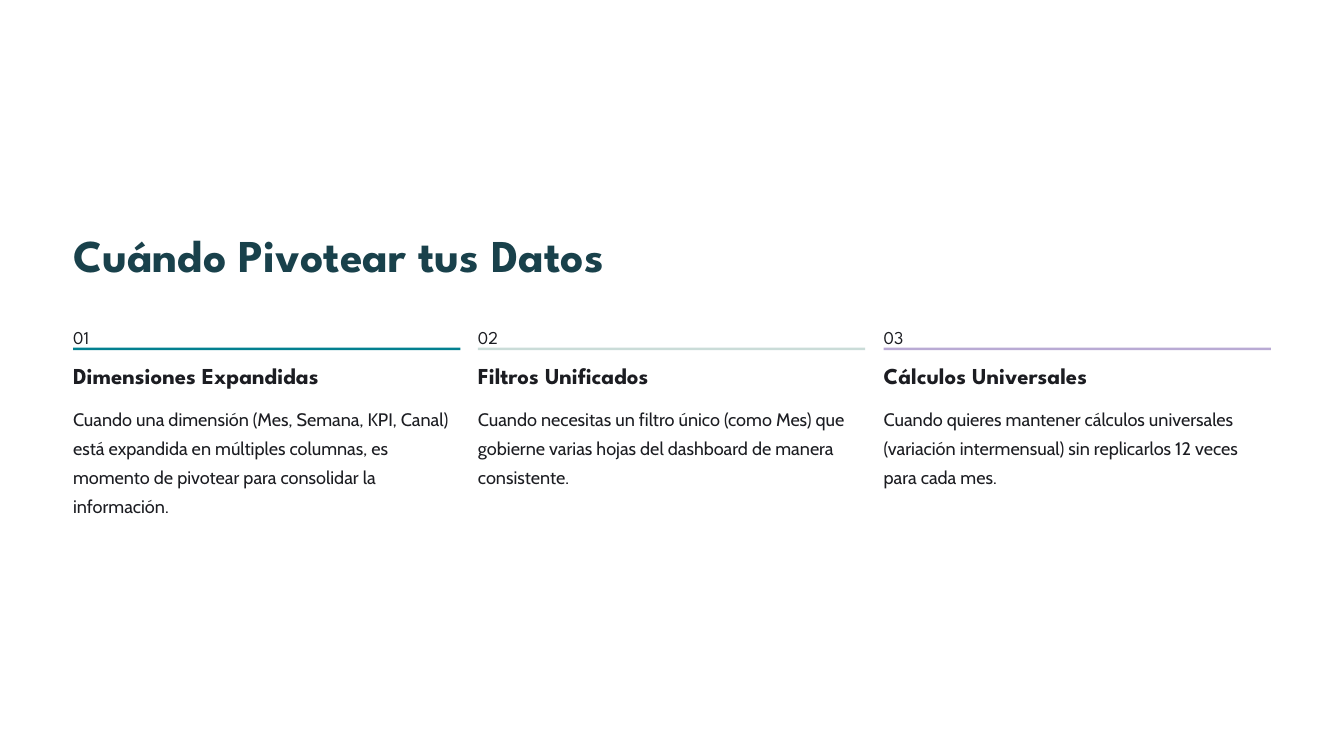
from pptx import Presentation
from pptx.dml.color import RGBColor
from pptx.enum.shapes import MSO_SHAPE
from pptx.util import Pt

PX = 9144
RECT = MSO_SHAPE.RECTANGLE
WHITE = RGBColor(0xFF, 0xFF, 0xFF)
NAVY = RGBColor(0x19, 0x41, 0x4B)
INK = RGBColor(0x1C, 0x1D, 0x22)
TEAL = RGBColor(0x02, 0x80, 0x90)
MINT = RGBColor(0xCA, 0xDC, 0xD8)
LILAC = RGBColor(0xB9, 0xAA, 0xD4)
HEAD_FONT = "League Spartan"
BODY_FONT = "Cabin"

prs = Presentation()
prs.slide_width = 1600 * PX
prs.slide_height = 900 * PX
s = prs.slides.add_slide(prs.slide_layouts[6])


def add_rect(x, y, w, h, color):
    sp = s.shapes.add_shape(RECT, x * PX, y * PX, w * PX, h * PX)
    sp.shadow.inherit = False
    sp.fill.solid()
    sp.fill.fore_color.rgb = color
    sp.line.fill.background()


def add_text(x, y, w, h, text, size, leading, font=HEAD_FONT, color=INK, bold=False, wrap=False):
    tf = s.shapes.add_textbox(x * PX, y * PX, w * PX, h * PX).text_frame
    tf.margin_left = tf.margin_top = tf.margin_right = tf.margin_bottom = 0
    tf.word_wrap = wrap
    p = tf.paragraphs[0]
    p.line_spacing = Pt(leading)
    r = p.add_run()
    r.text = text
    r.font.name = font
    r.font.size = Pt(size)
    r.font.bold = bold
    r.font.color.rgb = color


add_rect(0, 0, 1600, 900, WHITE)
add_text(87, 268, 689, 68, "Cuándo Pivotear tus Datos", 39, 48.5, color=NAVY, bold=True)

columns = [
    ("Dimensiones Expandidas", 320, TEAL, 139,
     "Cuando una dimensión (Mes, Semana, KPI, Canal) está expandida en múltiples columnas, "
     "es momento de pivotear para consolidar la información."),
    ("Filtros Unificados", 271, MINT, 104,
     "Cuando necesitas un filtro único (como Mes) que gobierne varias hojas del dashboard "
     "de manera consistente."),
    ("Cálculos Universales", 271, LILAC, 104,
     "Cuando quieres mantener cálculos universales (variación intermensual) sin replicarlos "
     "12 veces para cada mes."),
]

for i, (heading, heading_w, color, body_h, body) in enumerate(columns):
    x = 87 + i * 965 // 2
    add_text(x, 380, 30, 27, f"{i + 1:02d}", 15.5, 25)
    add_rect(x, 414, 461, 3, color)
    add_text(x, 430, heading_w, 34, heading, 19.5, 24, bold=True)
    add_text(x, 477, 461, body_h, body, 15.5, 25, font=BODY_FONT, wrap=True)

prs.save("out.pptx")
